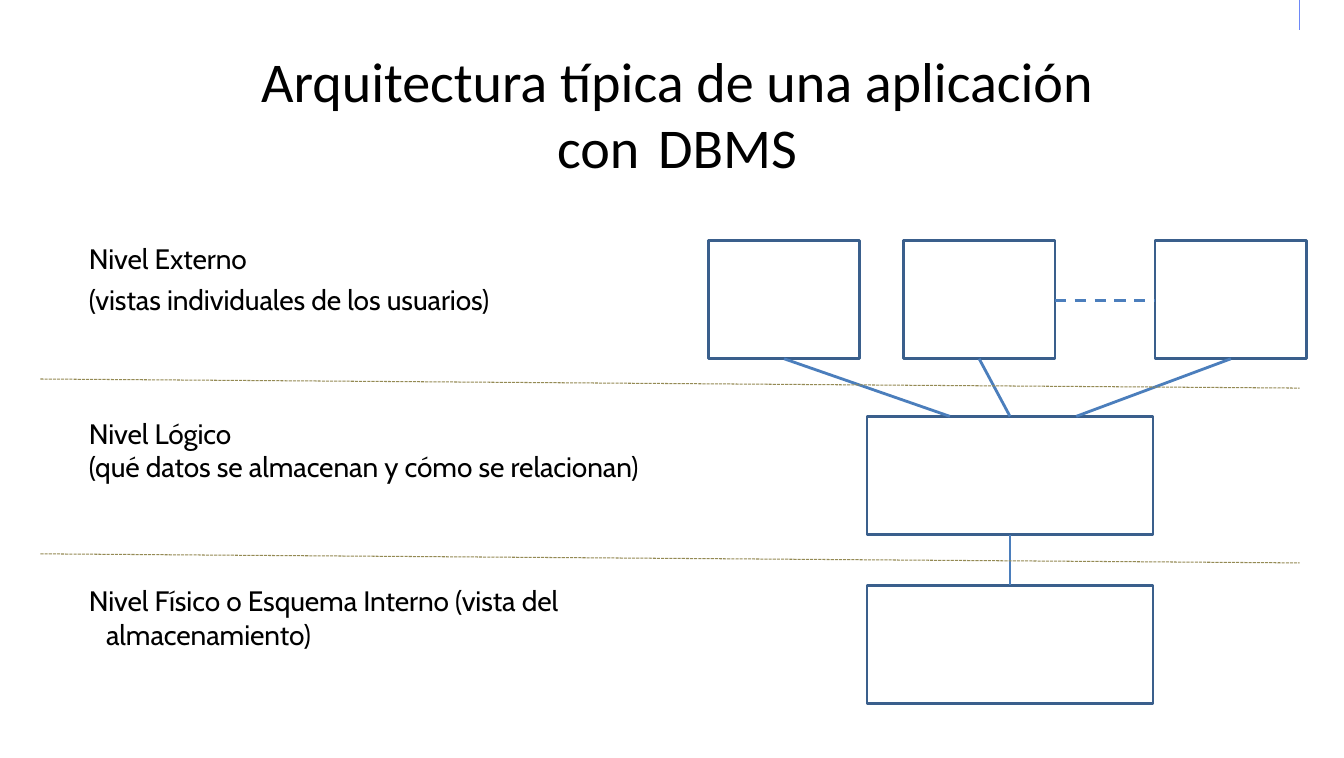
from lxml.etree import SubElement
from pptx import Presentation
from pptx.dml.color import RGBColor
from pptx.enum.dml import MSO_LINE
from pptx.enum.shapes import MSO_CONNECTOR, MSO_SHAPE
from pptx.enum.text import MSO_ANCHOR, MSO_AUTO_SIZE, PP_ALIGN
from pptx.oxml.ns import qn
from pptx.util import Inches, Pt

COLORS = {"text": "000000", "white": "FFFFFF", "box": "3A5F8C",
          "link": "4B7EBC", "divider": "948A54", "mark": "6E88F7"}
COLS, ROWS = 133, 75  # grid of the slide


class LevelSlide:
    """Style and current slide; every length is in grid columns and rows."""

    def __init__(self, prs):
        self.w, self.h = prs.slide_width, prs.slide_height
        self.s = prs.slides.add_slide(prs.slide_layouts[1])

    def x(self, col):
        return round(self.w * col / COLS)

    def y(self, row):
        return round(self.h * row / ROWS)

    def color(self, name):
        return RGBColor.from_string(COLORS[name])

    def frame(self, sp, col, row, cols, rows, anchor):
        sp.left, sp.top = self.x(col), self.y(row)
        sp.width, sp.height = self.x(cols), self.y(rows)
        tf = sp.text_frame
        tf.word_wrap = True
        tf.auto_size = MSO_AUTO_SIZE.NONE
        tf.vertical_anchor = anchor
        tf.margin_left = tf.margin_right = tf.margin_top = tf.margin_bottom = 0
        return tf

    def paragraph(self, tf, i, text, font, size, left, indent, before=0,
                  align=PP_ALIGN.LEFT, tab=None, spacing=0):
        p = tf.paragraphs[0] if i == 0 else tf.add_paragraph()
        pPr = p._p.get_or_add_pPr()
        pPr.set("marL", str(Inches(left)))
        pPr.set("indent", str(Inches(indent)))
        SubElement(pPr, qn("a:buNone"))
        if tab:
            tabs = SubElement(pPr, qn("a:tabLst"))
            SubElement(tabs, qn("a:tab"), pos=str(Inches(tab)), algn="l")
        p.alignment = align
        p.space_before = Pt(before)
        r = p.add_run()
        r.text = text
        r.font.name, r.font.size = font, Pt(size)
        r.font.color.rgb = self.color("text")
        r._r.get_or_add_rPr().set("spc", str(spacing))
        return p

    def title(self, lines, *place):
        tf = self.frame(self.s.shapes.title, *place, MSO_ANCHOR.MIDDLE)
        for i, text in enumerate(lines):
            p = self.paragraph(tf, i, text, "Calibri", 40, 0.1, 0,
                               align=PP_ALIGN.CENTER,
                               tab=1.32 if "\t" in text else None)
            if i:
                p.line_spacing = Pt(46.9)

    def body(self, items, *place):
        tf = self.frame(self.s.placeholders[1], *place, MSO_ANCHOR.TOP)
        for i, (text, before, left, indent) in enumerate(items):
            self.paragraph(tf, i, text, "Cabin", 20, left, indent, before,
                           spacing=-8)

    def box(self, col, row, cols, rows):
        sp = self.s.shapes.add_shape(MSO_SHAPE.RECTANGLE, self.x(col),
                                     self.y(row), self.x(cols), self.y(rows))
        sp.shadow.inherit = False
        sp.fill.solid()
        sp.fill.fore_color.rgb = self.color("white")
        sp.line.color.rgb = self.color("box")
        sp.line.width = Pt(2)

    def line(self, x1, y1, x2, y2, color="link", width=2, dash=None):
        c = self.s.shapes.add_connector(MSO_CONNECTOR.STRAIGHT, self.x(x1),
                                        self.y(y1), self.x(x2), self.y(y2))
        SubElement(c._element.spPr, qn("a:effectLst"))
        c.line.color.rgb = self.color(color)
        c.line.width = Pt(width)
        if dash:
            c.line.dash_style = dash


def main():
    prs = Presentation()
    prs.slide_width, prs.slide_height = Inches(13.3), Inches(7.5)
    s = LevelSlide(prs)

    # Corner mark, title and level descriptions
    s.line(128.6, 0, 128.6, 3, "mark", 0.8)
    s.title(["Arquitectura típica de una aplicación", "con\tDBMS"],
            6.6, 4.5, 119.8, 13.3)
    flush, hanging, gap = (0.01, 0), (0.18, -0.17), 71.5
    s.body([
        ("Nivel Externo", 0, *flush),
        ("(vistas individuales de los usuarios)", 4.8, *flush),
        ("Nivel Lógico", gap, *hanging),
        ("(qué datos se almacenan y cómo se relacionan)", 0, *hanging),
        ("Nivel Físico o Esquema Interno (vista del almacenamiento)",
         gap, *hanging),
    ], 8.7, 23.9, 63.9, 41.1)

    # Boxes: user views, logical level, physical level
    view_w, level_w, box_h = 15, 28.3, 11.7
    views, view_row = (70.1, 89.4, 114.3), 23.8
    level_col, logical, physical = 85.8, 41.2, 57.9
    for col in views:
        s.box(col, view_row, view_w, box_h)
    for row in (logical, physical):
        s.box(level_col, row, level_w, box_h)

    # Links between levels
    center = level_col + level_w / 2
    for col, end in zip(views, (94, center, 106.5)):
        s.line(col + view_w / 2, view_row + box_h, end, logical)
    s.line(center, logical + box_h, center, physical)
    s.line(views[1] + view_w, 29.7, views[2], 29.7, dash=MSO_LINE.DASH)

    # Dividers between levels
    for row in (37.5, 54.8):
        s.line(4, row, 128.6, row + 0.9, "divider", 0.75, MSO_LINE.SQUARE_DOT)

    prs.save("out.pptx")


if __name__ == "__main__":
    main()
